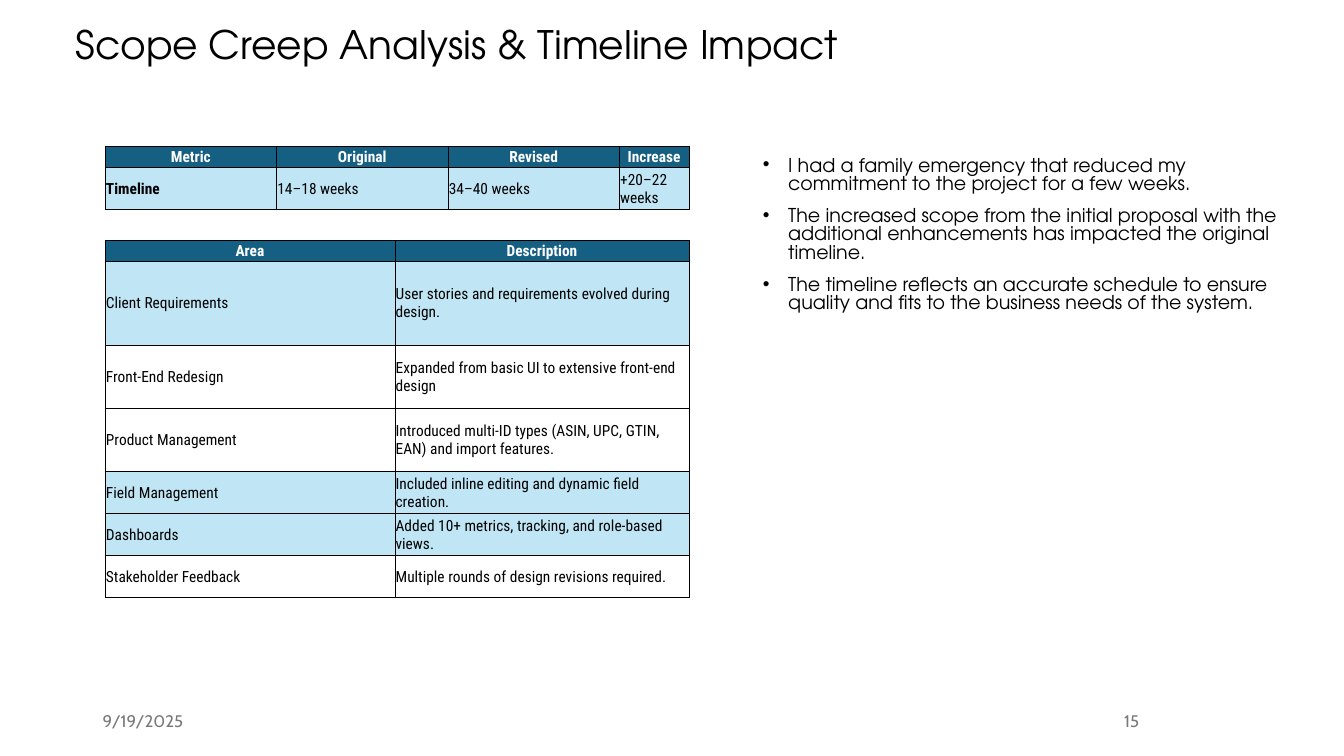
"""Build the scope creep and timeline impact slide."""
from lxml import etree
from pptx import Presentation
from pptx import util as u
from pptx.dml.color import RGBColor
from pptx.enum import text
from pptx.oxml import ns

TITLE = "Scope Creep Analysis & Timeline Impact"
REASONS = [
    "I had a family emergency that reduced my commitment to the project for a few weeks.",
    "The increased scope from the initial proposal with the additional enhancements "
    "has impacted the original timeline.",
    "The timeline reflects an accurate schedule to ensure quality and fits to the "
    "business needs of the system.",
]
TIMELINE = {
    "top": 3.69,
    "widths": [4.32, 4.32, 4.32, 1.75],
    "rows": [
        (1, "header", ["Metric", "Original", "Revised", "Increase"]),
        (2, "tint", ["Timeline", "14–18 weeks", "34–40 weeks", "+20–22 weeks"]),
    ],
}
AREAS = {
    "top": 6.05,
    "widths": [7.3, 7.42],
    "rows": [
        (1, "header", ["Area", "Description"]),
        (4, "tint", ["Client Requirements",
                     "User stories and requirements evolved during design."]),
        (3, None, ["Front-End Redesign",
                   "Expanded from basic UI to extensive front-end design"]),
        (3, None, ["Product Management",
                   "Introduced multi-ID types (ASIN, UPC, GTIN, EAN) and import features."]),
        (2, "tint", ["Field Management",
                     "Included inline editing and dynamic field creation."]),
        (2, "tint", ["Dashboards",
                     "Added 10+ metrics, tracking, and role-based views."]),
        (2, None, ["Stakeholder Feedback",
                   "Multiple rounds of design revisions required."]),
    ],
}
FOOTERS = [
    ("9/19/2025", 2.34, 7.62, text.PP_ALIGN.LEFT),
    ("15", 23.93, 5.03, text.PP_ALIGN.RIGHT),
]
BOLD_LABELS = {"Timeline"}
COLORS = {"header": "156082", "tint": "C0E6F5", "ink": "000000",
          "light": "FFFFFF", "footer": "797979"}
HEADING_FONT, TABLE_FONT, FOOTER_FONT = "TeX Gyre Adventor", "Roboto Condensed", "Cabin"
TABLE_LEFT = 2.65
ROW_UNIT = 0.53


def color(name):
    return RGBColor.from_string(COLORS[name])


def set_font(para, name, size, ink, bold=False):
    para.font.name = name
    para.font.size = u.Pt(size)
    para.font.color.rgb = color(ink)
    para.font.bold = bold


def place(shape, left, top, width, height):
    shape.left, shape.top = u.Cm(left), u.Cm(top)
    shape.width, shape.height = u.Cm(width), u.Cm(height)


def add_borders(cell):
    properties = cell._tc.get_or_add_tcPr()
    for side in ("a:lnL", "a:lnR", "a:lnT", "a:lnB"):
        line = etree.SubElement(properties, ns.qn(side), w=str(u.Pt(0.5)))
        fill = etree.SubElement(line, ns.qn("a:solidFill"))
        etree.SubElement(fill, ns.qn("a:srgbClr"), val=COLORS["ink"])


def fill_cell(cell, label, shade):
    add_borders(cell)
    if shade:
        cell.fill.solid()
        cell.fill.fore_color.rgb = color(shade)
    else:
        cell.fill.background()
    cell.margin_left = cell.margin_right = cell.margin_top = u.Cm(0.02)
    cell.margin_bottom = 0
    cell.vertical_anchor = text.MSO_ANCHOR.MIDDLE
    cell.text = label
    para = cell.text_frame.paragraphs[0]
    header = shade == "header"
    para.alignment = text.PP_ALIGN.CENTER if header else text.PP_ALIGN.LEFT
    set_font(para, TABLE_FONT, 11, "light" if header else "ink",
             header or label in BOLD_LABELS)


def add_grid(page, content):
    rows, widths = content["rows"], content["widths"]
    height = sum(units for units, _, _ in rows) * ROW_UNIT
    table = page.shapes.add_table(
        len(rows), len(widths), u.Cm(TABLE_LEFT), u.Cm(content["top"]),
        u.Cm(sum(widths)), u.Cm(height)).table
    table.first_row = table.horz_banding = False
    for column, width in zip(table.columns, widths):
        column.width = u.Cm(width)
    for row, (units, shade, labels) in zip(table.rows, rows):
        row.height = u.Cm(units * ROW_UNIT)
        for cell, label in zip(row.cells, labels):
            fill_cell(cell, label, shade)


def add_title(page):
    title = page.shapes.title
    place(title, 1.65, 0.53, 29.21, 1.35)
    frame = title.text_frame
    frame.text = TITLE
    frame.auto_size = text.MSO_AUTO_SIZE.NONE
    frame.vertical_anchor = text.MSO_ANCHOR.TOP
    para = frame.paragraphs[0]
    para.alignment = text.PP_ALIGN.LEFT
    para.line_spacing = 0.9
    set_font(para, HEADING_FONT, 28, "ink")


def add_reasons(page):
    body = page.placeholders[1]
    place(body, 18.97, 3.84, 14.02, 4.42)
    frame = body.text_frame
    frame.text = "\n".join(REASONS)
    frame.auto_size = text.MSO_AUTO_SIZE.NONE
    for index, para in enumerate(frame.paragraphs):
        properties = para._p.get_or_add_pPr()
        properties.set("marL", str(u.Cm(0.64)))
        properties.set("indent", str(u.Cm(-0.64)))
        etree.SubElement(properties, ns.qn("a:buFont"), typeface="Arial")
        etree.SubElement(properties, ns.qn("a:buChar"), char="•")
        para.line_spacing = 0.8
        para.space_before = u.Pt(10 if index else 0)
        set_font(para, HEADING_FONT, 13.6, "ink")


def add_footer(page, label, left, width, alignment):
    box = page.shapes.add_textbox(u.Cm(left), u.Cm(17.65), u.Cm(width), u.Cm(1.02))
    frame = box.text_frame
    frame.word_wrap = True
    frame.vertical_anchor = text.MSO_ANCHOR.MIDDLE
    frame.text = label
    para = frame.paragraphs[0]
    para.alignment = alignment
    set_font(para, FOOTER_FONT, 12, "footer")


def main():
    deck = Presentation()
    deck.slide_width, deck.slide_height = u.Cm(33.87), u.Cm(19.05)
    page = deck.slides.add_slide(deck.slide_layouts[1])
    add_title(page)
    add_reasons(page)
    for footer in FOOTERS:
        add_footer(page, *footer)
    for content in (AREAS, TIMELINE):
        add_grid(page, content)
    deck.save("out.pptx")


if __name__ == "__main__":
    main()
